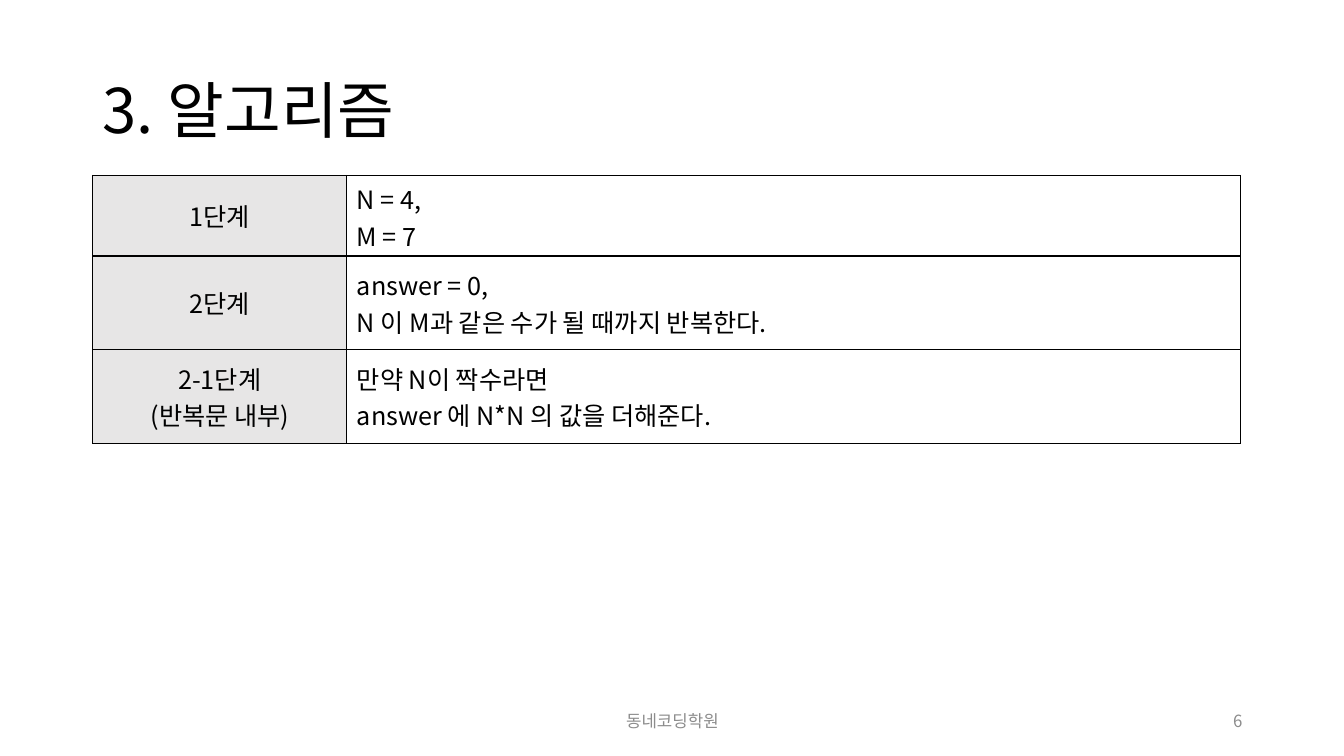
import pptx
import pptx.dml.color
import pptx.enum.text
import pptx.oxml.ns
import pptx.util
from lxml import etree

Inches = pptx.util.Inches
Align = pptx.enum.text.PP_ALIGN
Anchor = pptx.enum.text.MSO_ANCHOR
qn = pptx.oxml.ns.qn

FONT = "Noto Sans CJK KR"
BLACK = "000000"
GRAY = "8C8C8C"
LABEL_FILL = "E7E6E6"

STEPS = [
    ("1단계", "N = 4,\nM = 7"),
    ("2단계", "answer = 0,\nN 이 M과 같은 수가 될 때까지 반복한다."),
    ("2-1단계\n(반복문 내부)", "만약 N이 짝수라면\nanswer 에 N*N 의 값을 더해준다."),
]
COLUMN_WIDTHS = (2.52, 8.86)
ROW_HEIGHTS = (0.8, 0.93, 0.93)


def color(hex_string):
    return pptx.dml.color.RGBColor.from_string(hex_string)


def write_text(text_frame, text, size=18, fill=BLACK, align=Align.LEFT, line_spacing=None):
    """Write each line of text as a paragraph of its own."""
    for index, line in enumerate(text.split("\n")):
        paragraph = text_frame.add_paragraph() if index else text_frame.paragraphs[0]
        paragraph.alignment = align
        if line_spacing:
            paragraph.line_spacing = line_spacing
        run = paragraph.add_run()
        run.text = line
        run.font.name = FONT
        run.font.size = pptx.util.Pt(size)
        run.font.color.rgb = color(fill)
        etree.SubElement(run.font._element, qn("a:ea"), typeface=FONT)


def draw_borders(cell, width=1):
    properties = cell._tc.get_or_add_tcPr()
    for side in ("lnL", "lnR", "lnT", "lnB"):
        line = etree.SubElement(properties, qn(f"a:{side}"), w=str(pptx.util.Pt(width)))
        solid = etree.SubElement(line, qn("a:solidFill"))
        etree.SubElement(solid, qn("a:srgbClr"), val=BLACK)


class SlideBuilder:
    def __init__(self, presentation):
        self.slide = presentation.slides.add_slide(presentation.slide_layouts[6])
        self.slide.background.fill.solid()
        self.slide.background.fill.fore_color.rgb = color("FFFFFF")

    def text_box(self, text, left, top, width, height, **text_format):
        box = self.slide.shapes.add_textbox(*map(Inches, (left, top, width, height)))
        box.text_frame.word_wrap = True
        box.text_frame.vertical_anchor = Anchor.MIDDLE
        write_text(box.text_frame, text, **text_format)

    def step_table(self, steps, left, top):
        """Add a table with shaded step names beside their instructions."""
        frame = self.slide.shapes.add_table(
            len(steps), len(COLUMN_WIDTHS), Inches(left), Inches(top),
            Inches(sum(COLUMN_WIDTHS)), Inches(sum(ROW_HEIGHTS)))
        table = frame.table
        table.first_row = table.horz_banding = False
        for column, width in zip(table.columns, COLUMN_WIDTHS):
            column.width = Inches(width)
        for row, height, texts in zip(table.rows, ROW_HEIGHTS, steps):
            row.height = Inches(height)
            label, instruction = row.cells
            for cell, text, align in zip(row.cells, texts, (Align.CENTER, Align.LEFT)):
                cell.vertical_anchor = Anchor.MIDDLE
                draw_borders(cell)
                write_text(cell.text_frame, text, align=align)
            label.fill.solid()
            label.fill.fore_color.rgb = color(LABEL_FILL)
            instruction.fill.background()


def main():
    presentation = pptx.Presentation()
    presentation.slide_width = Inches(13.33)
    presentation.slide_height = Inches(7.5)
    builder = SlideBuilder(presentation)
    builder.text_box("3. 알고리즘", 0.92, 0.4, 11.5, 1.45, size=44, line_spacing=0.9)
    builder.step_table(STEPS, 0.92, 1.74)
    builder.text_box("동네코딩학원", 4.42, 6.95, 4.5, 0.4, size=12, fill=GRAY, align=Align.CENTER)
    builder.text_box("6", 9.42, 6.95, 3, 0.4, size=12, fill=GRAY, align=Align.RIGHT)
    presentation.save("out.pptx")


if __name__ == "__main__":
    main()
